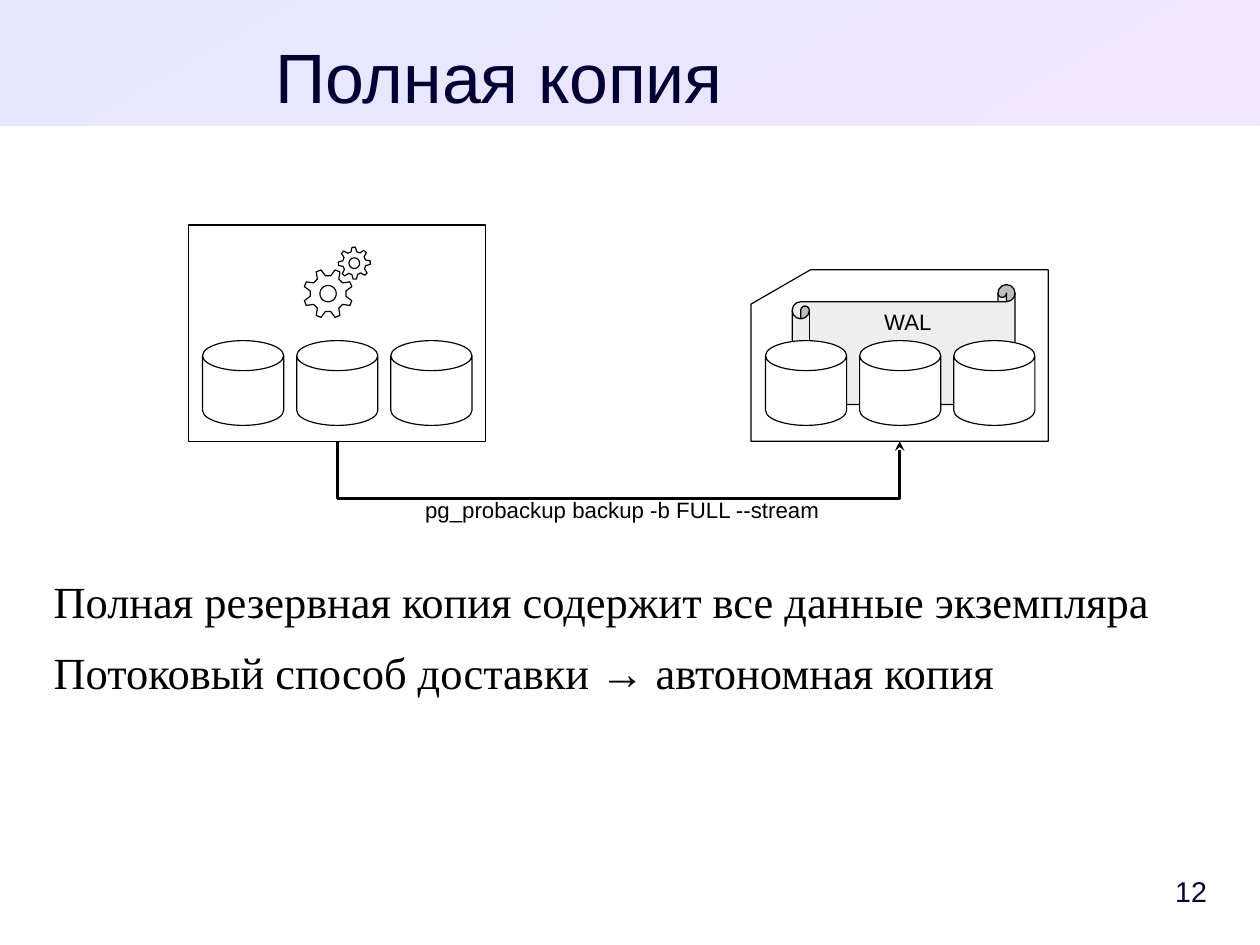
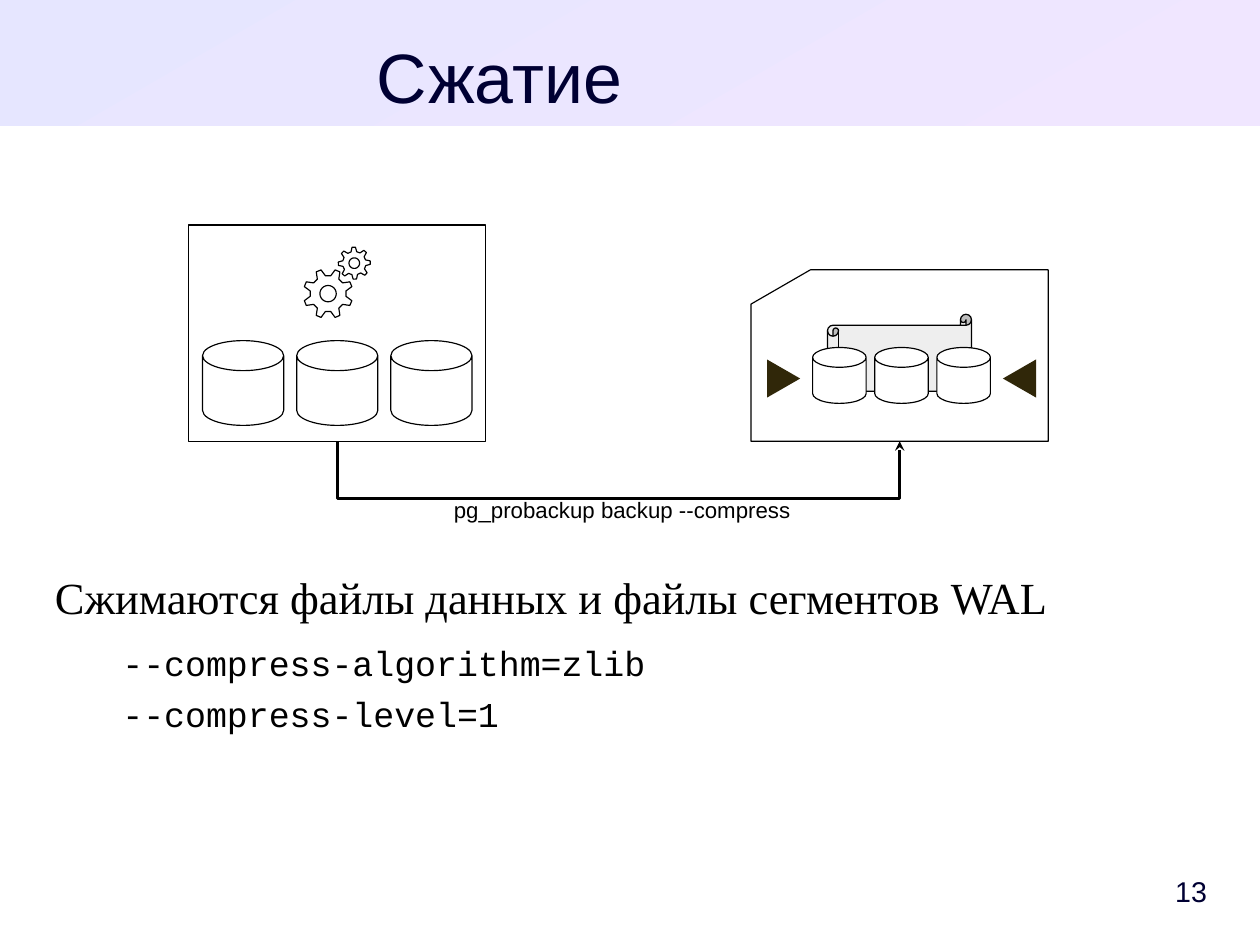
import math
import pptx
import pptx.dml.color
import pptx.enum.dml
import pptx.enum.shapes
import pptx.enum.text
import pptx.oxml
import pptx.oxml.ns
import pptx.util

Pt = pptx.util.Pt
SHAPE = pptx.enum.shapes.MSO_SHAPE
ALIGN = pptx.enum.text.PP_ALIGN
ANCHOR = pptx.enum.text.MSO_ANCHOR
qn = pptx.oxml.ns.qn

WIDTH, HEIGHT = 793.7, 595.3
COLORS = {
    "band_start": "E6E6FF",
    "band_end": "F0E6FF",
    "title": "000033",
    "text": "000000",
    "line": "000000",
    "white": "FFFFFF",
    "scroll": "EEEEEE",
    "press": "302709",
}
SANS, SERIF, MONO = "Arial", "Times New Roman", "Courier New"
SERVER = (118.9, 141.8, 187.2, 136.2)
BACKUP = (473.1, 170, 187.2, 108)


def rgb(name):
    return pptx.dml.color.RGBColor.from_string(COLORS[name])


def style(sp, fill, line="line", weight=0):
    sp.shadow.inherit = False
    sp.fill.solid()
    sp.fill.fore_color.rgb = rgb(fill)
    if line:
        sp.line.color.rgb = rgb(line)
        sp.line.width = Pt(weight)
    else:
        sp.line.fill.background()
    return sp


def shape(s, kind, box, fill, line="line", weight=0):
    sp = s.shapes.add_shape(kind, *map(Pt, box))
    return style(sp, fill, line, weight)


def set_margins(tf, margins):
    tf.margin_left, tf.margin_top, tf.margin_right, tf.margin_bottom = map(Pt, margins)


def format_paragraph(p, text, size, font, color="text", align=None, after=0, indent=0):
    p.text = text
    p.alignment = align
    p.space_after = Pt(after)
    if indent:
        pPr = p._p.get_or_add_pPr()
        pPr.set("marL", str(Pt(indent)))
        pPr.set("indent", "0")
    for r in p.runs:
        r.font.size = Pt(size)
        r.font.name = font
        r.font.color.rgb = rgb(color)


def text_box(s, box, paragraphs, margins=(0, 0, 0, 0), anchor=ANCHOR.TOP):
    tf = s.shapes.add_textbox(*map(Pt, box)).text_frame
    tf.word_wrap = True
    tf.vertical_anchor = anchor
    set_margins(tf, margins)
    for i, paragraph in enumerate(paragraphs):
        p = tf.paragraphs[0] if i == 0 else tf.add_paragraph()
        format_paragraph(p, **paragraph)


def frame(s, title, number):
    band = shape(s, SHAPE.RECTANGLE, (0, 0, WIDTH, 79.2), "band_start", None)
    band.fill.gradient()
    band.fill.gradient_angle = 300
    for stop, name in zip(band.fill.gradient_stops, ("band_start", "band_end")):
        stop.color.rgb = rgb(name)
    text_box(s, (697.7, 544.3, 62.6, 33.8),
             [dict(text=str(number), size=18, font=SANS, color="title", align=ALIGN.RIGHT)],
             (7.2, 3.6, 0, 3.6), ANCHOR.MIDDLE)
    text_box(s, (33.8, 20.9, 561.6, 49),
             [dict(text=title, size=44, font=SANS, color="title", align=ALIGN.CENTER)])


def gear(s, cx, cy, radius, turn):
    def point(angle, r):
        a = math.radians(angle)
        return round(100 * (cx + r * math.cos(a))), round(100 * (cy + r * math.sin(a)))

    tooth = ((-14, 0.73), (-6, 1), (6, 1), (14, 0.73))
    rim = [point(turn + 45 * i + a, radius * k) for i in range(8) for a, k in tooth]
    hole = [point(-15 * i, radius * 0.33) for i in range(24)]
    fb = s.shapes.build_freeform(*rim[0], scale=Pt(1) / 100)
    fb.add_line_segments(rim[1:], close=True)
    fb.move_to(*hole[0])
    fb.add_line_segments(hole[1:], close=True)
    style(fb.convert_to_shape(), "white")


def cylinders(s, left, top, scale=1):
    for i in range(3):
        box = (left + i * 59.3 * scale, top, 51.1 * scale, 53.4 * scale)
        shape(s, SHAPE.CAN, box, "white").adjustments[0] = 0.37


def server(s, box):
    left, top, width, height = box
    shape(s, SHAPE.RECTANGLE, box, "white")
    cylinders(s, left + 8.7, top + 72.8)
    gear(s, left + 87.8, top + 43.2, 15.6, 22.5)
    gear(s, left + 104.3, top + 24, 10.1, -2)


def scroll(s, box, label=None):
    sp = shape(s, SHAPE.HORIZONTAL_SCROLL, box, "scroll", weight=0.79)
    sp.adjustments[0] = 0.125
    if label:
        tf = sp.text_frame
        tf.word_wrap = False
        tf.vertical_anchor = ANCHOR.TOP
        set_margins(tf, (7.2, 4.3, 7.2, 3.6))
        format_paragraph(tf.paragraphs[0], label, 14, SANS, align=ALIGN.CENTER)


def full_backup(s, box):
    left, top, width, height = box
    shape(s, SHAPE.FLOWCHART_CARD, box, "white")
    scroll(s, (left + 25.9, top + 9.3, 140.4, 86.4), "WAL")
    cylinders(s, left + 9.1, top + 44.6)


def compressed_backup(s, box):
    left, top, width, height = box
    shape(s, SHAPE.FLOWCHART_CARD, box, "white")
    for cx, rotation in ((20.5, 90), (169.1, 270)):
        press = (left + cx - 12, top + 58, 24, 20.9)
        shape(s, SHAPE.ISOSCELES_TRIANGLE, press, "press", None).rotation = rotation
    scroll(s, (left + 48.2, top + 28, 90.7, 55.4))
    cylinders(s, left + 38.8, top + 48.9, 0.66)


def backup_arrow(s, source, target, drop=31.7, thin=0.1):
    start = source[0] + source[2] / 2
    end = target[0] + target[2] / 2
    bottom = source[1] + source[3]
    span = end - start
    left, top = (start + end - thin) / 2, bottom - span / 2
    cx = s.shapes.add_connector(pptx.enum.shapes.MSO_CONNECTOR.ELBOW,
                                Pt(left), Pt(top), Pt(left + thin), Pt(top + span))
    cx.line.color.rgb = rgb("line")
    cx.line.width = Pt(0)
    spPr = cx._element.spPr
    xfrm = spPr.find(qn("a:xfrm"))
    xfrm.set("rot", "16200000")
    xfrm.set("flipH", "1")
    guides = spPr.find(qn("a:prstGeom")).find(qn("a:avLst"))
    guide = pptx.oxml.ns.qn("a:gd")
    gd = guides.makeelement(guide, {"name": "adj1", "fmla": f"val {round(drop / thin * 100000)}"})
    guides.append(gd)
    ln = cx.line._get_or_add_ln()
    ln.append(ln.makeelement(qn("a:tailEnd"), {"type": "stealth"}))
    spPr.append(spPr.makeelement(qn("a:effectLst"), {}))


def backup_slide(prs, title, number, command, backup, body_box, body):
    s = prs.slides.add_slide(prs.slide_layouts[6])
    frame(s, title, number)
    text_box(s, body_box, body)
    text_box(s, (223.9, 308.9, 336.2, 23),
             [dict(text=command, size=14, font=SANS, align=ALIGN.CENTER)],
             (7.2, 3.6, 7.2, 3.6))
    server(s, SERVER)
    backup(s, BACKUP)
    backup_arrow(s, SERVER, BACKUP)


def main():
    prs = pptx.Presentation()
    prs.slide_width, prs.slide_height = Pt(WIDTH), Pt(HEIGHT)
    statement = dict(size=28, font=SERIF, after=11.3)
    code = dict(size=22, font=MONO, after=5.8, indent=42.5)
    backup_slide(prs, "Полная копия", 12, "pg_probackup backup -b FULL --stream",
                 full_backup, (33.8, 361.4, 725.8, 194.4), [
                     dict(text="Полная резервная копия содержит все данные экземпляра", **statement),
                     dict(text="Потоковый способ доставки → автономная копия", **statement),
                 ])
    backup_slide(prs, "Сжатие", 13, "pg_probackup backup --compress",
                 compressed_backup, (34.6, 359.3, 725.8, 194.4), [
                     dict(text="Сжимаются файлы данных и файлы сегментов WAL", **statement),
                     dict(text="--compress-algorithm=zlib", **code),
                     dict(text="--compress-level=1", **code),
                 ])
    prs.save("out.pptx")


if __name__ == "__main__":
    main()
